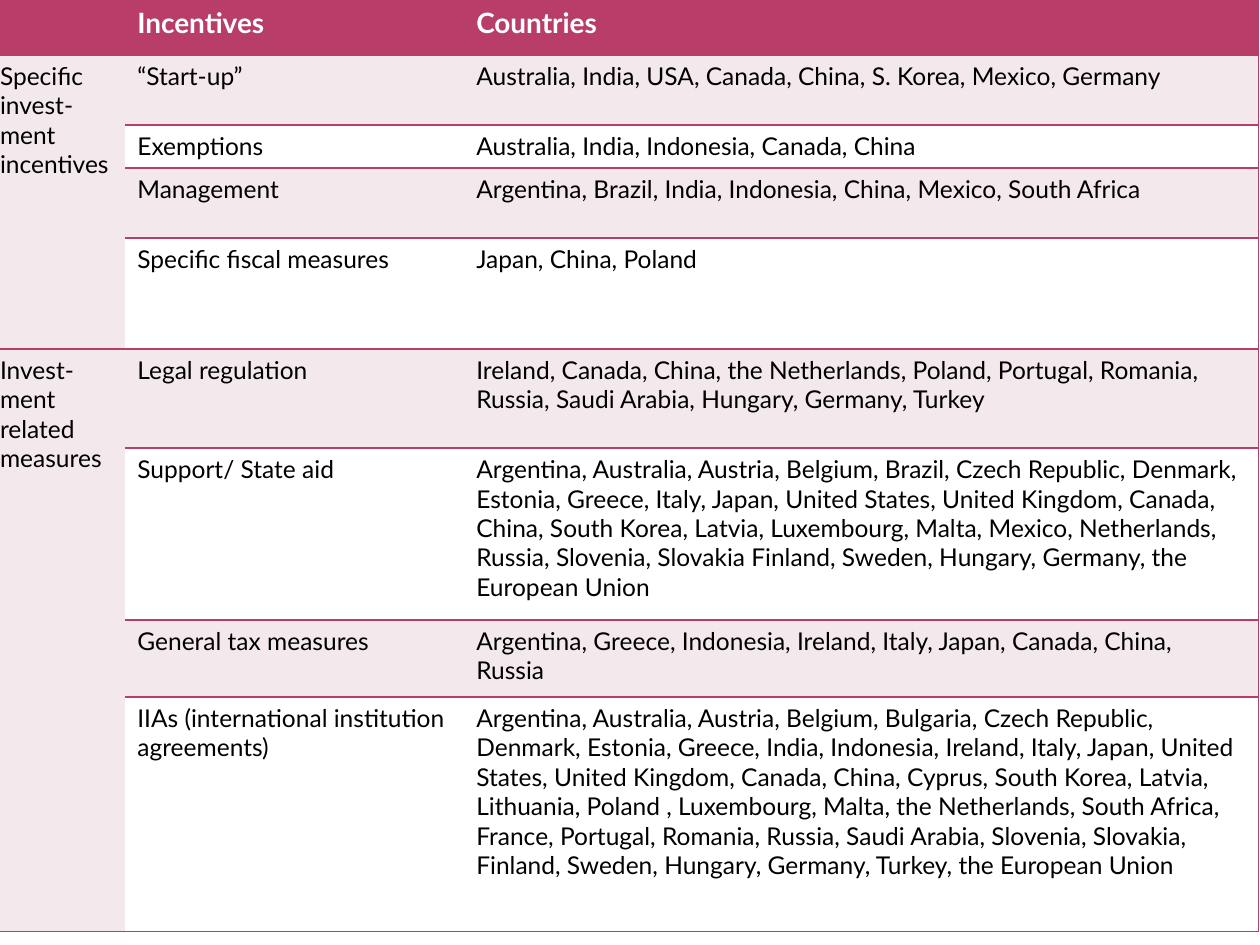
import pptx
import pptx.dml.color
import pptx.oxml.ns
import pptx.util
from lxml import etree

Pt = pptx.util.Pt
RGBColor = pptx.dml.color.RGBColor

BERRY = RGBColor(0xB8, 0x3D, 0x68)
BLUSH = RGBColor(0xF3, 0xE8, 0xEB)
WHITE = RGBColor(0xFF, 0xFF, 0xFF)
BLACK = RGBColor(0x00, 0x00, 0x00)

FONT = "Lato"
COLUMN_WIDTHS = [78.5, 193.7, 454.3]
ROW_HEIGHTS = [31.5, 40, 24.6, 40, 63.4, 56.7, 98.2, 44, 134]
HEADINGS = ["", "Incentives", "Countries"]
GROUPS = [
    ("Specific invest-ment incentives", [
        ("“Start-up”",
         "Australia, India, USA, Canada, China, S. Korea, Mexico, Germany"),
        ("Exemptions", "Australia, India, Indonesia, Canada, China"),
        ("Management",
         "Argentina, Brazil, India, Indonesia, China, Mexico, South Africa"),
        ("Specific fiscal measures", "Japan, China, Poland"),
    ]),
    ("Invest-ment related measures", [
        ("Legal regulation",
         "Ireland, Canada, China, the Netherlands, Poland, Portugal, Romania, "
         "Russia, Saudi Arabia, Hungary, Germany, Turkey"),
        ("Support/ State aid",
         "Argentina, Australia, Austria, Belgium, Brazil, Czech Republic, "
         "Denmark, Estonia, Greece, Italy, Japan, United States, "
         "United Kingdom, Canada, China, South Korea, Latvia, Luxembourg, "
         "Malta, Mexico, Netherlands, Russia, Slovenia, Slovakia Finland, "
         "Sweden, Hungary, Germany, the European Union"),
        ("General tax measures",
         "Argentina, Greece, Indonesia, Ireland, Italy, Japan, Canada, China, "
         "Russia"),
        ("IIAs (international institution agreements)",
         "Argentina, Australia, Austria, Belgium, Bulgaria, Czech Republic, "
         "Denmark, Estonia, Greece, India, Indonesia, Ireland, Italy, Japan, "
         "United States, United Kingdom, Canada, China, Cyprus, South Korea, "
         "Latvia, Lithuania, Poland , Luxembourg, Malta, the Netherlands, "
         "South Africa, France, Portugal, Romania, Russia, Saudi Arabia, "
         "Slovenia, Slovakia, Finland, Sweden, Hungary, Germany, Turkey, "
         "the European Union"),
    ]),
]


def set_borders(cell, visible_sides):
    properties = cell._tc.get_or_add_tcPr()
    qn = pptx.oxml.ns.qn
    for side in "LRTB":
        line = etree.SubElement(properties, qn(f"a:ln{side}"), w=str(Pt(1)))
        if side in visible_sides:
            fill = etree.SubElement(line, qn("a:solidFill"))
            etree.SubElement(fill, qn("a:srgbClr"), val=str(BERRY))
        else:
            etree.SubElement(line, qn("a:noFill"))


def fill_cell(cell, text, background, sides, size=14, color=BLACK, bold=False):
    set_borders(cell, sides)
    cell.fill.solid()
    cell.fill.fore_color.rgb = background
    if text:
        span = cell.text_frame.paragraphs[0].add_run()
        span.text = text
        span.font.name = FONT
        span.font.size = Pt(size)
        span.font.bold = bold
        span.font.color.rgb = color


def add_incentives_table(page, left, top, width, height):
    box = page.shapes.add_table(len(ROW_HEIGHTS), len(COLUMN_WIDTHS),
                                Pt(left), Pt(top), Pt(width), Pt(height))
    table = box.table
    table.first_row = False
    table.horz_banding = False
    for column, share in zip(table.columns, COLUMN_WIDTHS):
        column.width = Pt(round(share * width / sum(COLUMN_WIDTHS), 2))
    for row, share in zip(table.rows, ROW_HEIGHTS):
        row.height = Pt(round(share * height / sum(ROW_HEIGHTS), 2))

    column_sides = ["LTB", "TB", "RTB"]
    for index, heading in enumerate(HEADINGS):
        fill_cell(table.cell(0, index), heading, BERRY, column_sides[index],
                  size=16, color=WHITE, bold=True)

    row_index = 1
    for group, entries in GROUPS:
        group_cell = table.cell(row_index, 0)
        group_cell.merge(table.cell(row_index + len(entries) - 1, 0))
        fill_cell(group_cell, group, BLUSH, column_sides[0])
        for entry in entries:
            background = BLUSH if row_index % 2 else WHITE
            for index, text in enumerate(entry, start=1):
                fill_cell(table.cell(row_index, index), text, background,
                          column_sides[index])
            row_index += 1


def main():
    deck = pptx.Presentation()
    deck.slide_width = Pt(720)
    deck.slide_height = Pt(540)
    page = deck.slides.add_slide(deck.slide_layouts[6])
    add_incentives_table(page, -7.2, 0, sum(COLUMN_WIDTHS), sum(ROW_HEIGHTS))
    deck.save("out.pptx")


if __name__ == "__main__":
    main()
